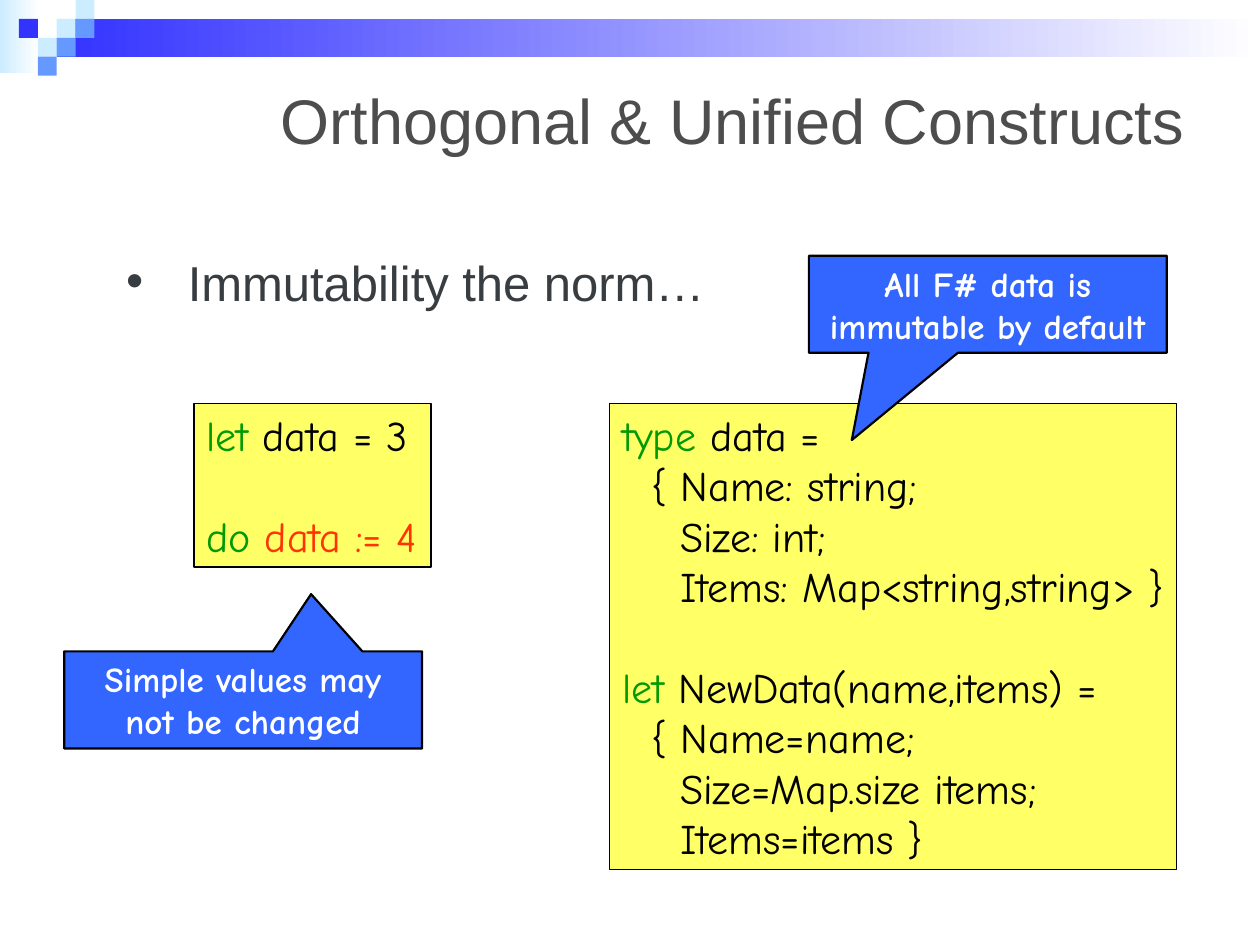
from pptx import Presentation
from pptx.dml.color import RGBColor
from pptx.enum.shapes import MSO_SHAPE
from pptx.enum.text import MSO_ANCHOR, MSO_AUTO_SIZE, PP_ALIGN
from pptx.util import Inches, Pt

COLUMNS, ROWS = 100, 75
TILE = 1.5
BLACK, WHITE = "000000", "FFFFFF"
PALE, SKY, ROYAL = "CCECFF", "6699FF", "3333FF"
KEYWORD, ERROR = "009900", "FF3300"


def color(value):
    return RGBColor.from_string(value)


class SlideBuilder:
    heading_font = "Arial"
    code_font = "Comic Neue"
    code_size = 24
    code_line = 28.8
    code_indent = 0.23

    def __init__(self, presentation):
        self.column = presentation.slide_width / COLUMNS
        self.row = presentation.slide_height / ROWS
        self.slide = presentation.slides.add_slide(presentation.slide_layouts[1])

    def box(self, left, top, width, height):
        return (round(left * self.column), round(top * self.row),
                round(width * self.column), round(height * self.row))

    def run(self, paragraph, text, font, size, fill, bold=False):
        run = paragraph.add_run()
        run.text = text
        run.font.name = font
        run.font.size = Pt(size)
        run.font.bold = bold
        run.font.color.rgb = color(fill)

    def shape(self, kind, area, fill=None, line_width=None):
        shape = self.slide.shapes.add_shape(kind, *self.box(*area))
        shape.shadow.inherit = False
        if fill:
            shape.fill.solid()
            shape.fill.fore_color.rgb = color(fill)
        if line_width:
            shape.line.color.rgb = color(BLACK)
            shape.line.width = Pt(line_width)
        else:
            shape.line.fill.background()
        return shape

    def gradient(self, area, start):
        fill = self.shape(MSO_SHAPE.RECTANGLE, area).fill
        fill.gradient()
        fill.gradient_angle = 180
        for stop, value in zip(fill.gradient_stops, (WHITE, start)):
            stop.color.rgb = color(value)

    def tile(self, column, row, fill):
        area = (column * TILE, row * TILE, TILE, TILE)
        self.shape(MSO_SHAPE.RECTANGLE, area, fill)

    def placeholder(self, shape, area, anchor):
        shape.left, shape.top, shape.width, shape.height = self.box(*area)
        frame = shape.text_frame
        frame.auto_size = MSO_AUTO_SIZE.NONE
        frame.vertical_anchor = anchor
        return frame.paragraphs[0]

    def title(self, text, area):
        paragraph = self.placeholder(self.slide.shapes.title, area, MSO_ANCHOR.MIDDLE)
        paragraph.alignment = PP_ALIGN.RIGHT
        self.run(paragraph, text, self.heading_font, 36, "4D4D4D")

    def bullet(self, text, area):
        paragraph = self.placeholder(self.slide.placeholders[1], area, MSO_ANCHOR.TOP)
        paragraph.line_spacing = 0.8
        paragraph.space_before = Pt(10.5)
        properties = paragraph._p.get_or_add_pPr()
        properties.set("marL", str(Inches(0.49)))
        properties.set("indent", str(-Inches(0.49)))
        self.run(paragraph, text, self.heading_font, 28, "383D42")

    def code(self, area, blocks):
        frame = self.shape(MSO_SHAPE.RECTANGLE, area, "FFFF66", 0.75).text_frame
        frame.word_wrap = False
        frame.vertical_anchor = MSO_ANCHOR.TOP
        paragraph = frame.paragraphs[0]
        for block_index, block in enumerate(blocks):
            for line_index, (level, *parts) in enumerate(block):
                if block_index or line_index:
                    paragraph = frame.add_paragraph()
                paragraph.alignment = PP_ALIGN.LEFT
                if block_index and not line_index:
                    paragraph.space_before = Pt(self.code_line)
                indent = Inches(level * self.code_indent)
                paragraph._p.get_or_add_pPr().set("marL", str(indent))
                for text, fill in parts:
                    self.run(paragraph, text, self.code_font, self.code_size, fill)

    def callout(self, text, left, top, tip):
        area = (left, top, 28.4, 7.7)
        shape = self.shape(MSO_SHAPE.RECTANGULAR_CALLOUT, area, "3366FF", 1.25)
        shape.adjustments[0], shape.adjustments[1] = tip
        frame = shape.text_frame
        frame.word_wrap = True
        frame.vertical_anchor = MSO_ANCHOR.MIDDLE
        paragraph = frame.paragraphs[0]
        paragraph.alignment = PP_ALIGN.CENTER
        self.run(paragraph, text, self.code_font, 20, WHITE, bold=True)


def main():
    presentation = Presentation()
    presentation.slide_width = Inches(10)
    presentation.slide_height = Inches(7.5)
    builder = SlideBuilder(presentation)

    builder.gradient((0, 0, 3.1, 5.8), PALE)
    builder.gradient((4.5, 1.5, 95.5, 3), ROYAL)
    for column, row, fill in [(3, 1, PALE), (4, 0, PALE), (4, 1, SKY), (2, 2, PALE),
                              (1, 1, ROYAL), (3, 2, SKY), (2, 3, SKY)]:
        builder.tile(column, row, fill)

    builder.title("Orthogonal & Unified Constructs", (5, 5, 90, 8.9))
    builder.bullet("Immutability the norm…", (9, 20.4, 82.7, 43))

    builder.code((15.4, 32, 18.8, 13), [
        [(0, ("let", KEYWORD), (" data = 3", BLACK))],
        [(0, ("do ", KEYWORD), ("data := 4", ERROR))],
    ])
    builder.callout("Simple values may not be changed", 5.1, 51.7, (0.19, -1.09))
    builder.code((48.4, 32, 45, 37), [
        [(0, ("type", KEYWORD), (" data =", BLACK)),
         (1, ("{ Name: string;", BLACK)),
         (2, ("Size: int;", BLACK)),
         (2, ("Items: Map<string,string> }", BLACK))],
        [(0, ("let", KEYWORD), (" NewData(name,items) =", BLACK)),
         (1, ("{ Name=name;", BLACK)),
         (2, ("Size=Map.size items;", BLACK)),
         (2, ("Items=items }", BLACK))],
    ])
    builder.callout("All F# data is immutable by default", 64.2, 20.3, (-0.38, 1.4))

    presentation.save("out.pptx")


if __name__ == "__main__":
    main()
